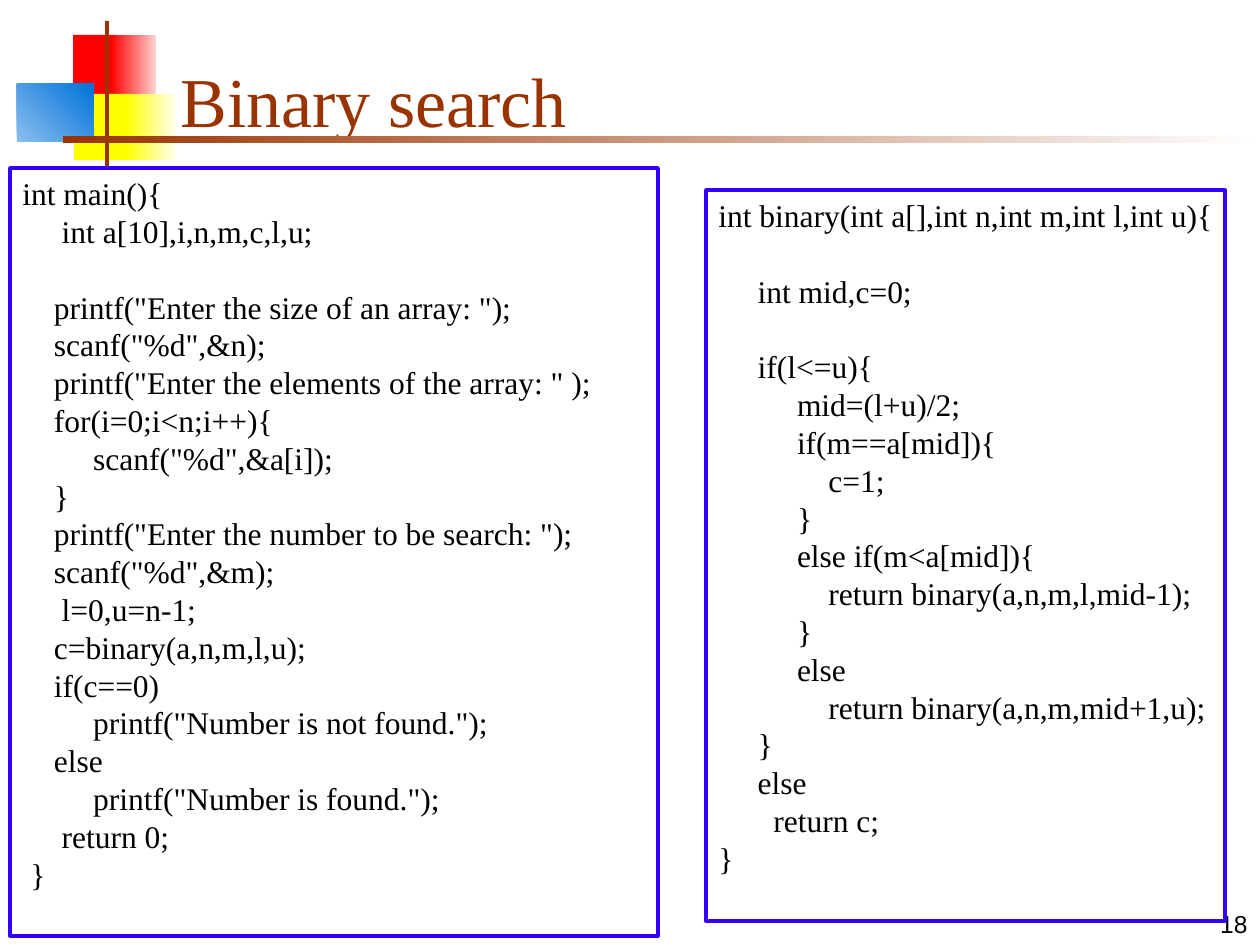
from pptx import Presentation
from pptx import util as u
from pptx.dml.color import RGBColor
from pptx.enum import shapes, text

PX = u.Inches(1) / 126
COLORS = {
    "red": "FF0000", "pale red": "FFD1D1",
    "yellow": "FFFF00", "pale yellow": "FFFFF0",
    "sky": "8BBFEE", "blue": "0073D9",
    "brown": "993300", "white": "FFFFFF",
    "border": "3300FF", "black": "000000",
}
SERIF, SANS = "Times New Roman", "Arial"

MAIN_CODE = """int main(){
     int a[10],i,n,m,c,l,u;

    printf("Enter the size of an array: ");
    scanf("%d",&n);
    printf("Enter the elements of the array: " );
    for(i=0;i<n;i++){
         scanf("%d",&a[i]);
    }
    printf("Enter the number to be search: ");
    scanf("%d",&m);
     l=0,u=n-1;
    c=binary(a,n,m,l,u);
    if(c==0)
         printf("Number is not found.");
    else
         printf("Number is found.");
     return 0;
 }"""

BINARY_CODE = """int binary(int a[],int n,int m,int l,int u){

     int mid,c=0;

     if(l<=u){
          mid=(l+u)/2;
          if(m==a[mid]){
              c=1;
          }
          else if(m<a[mid]){
              return binary(a,n,m,l,mid-1);
          }
          else
              return binary(a,n,m,mid+1,u);
     }
     else
       return c;
}"""


def px(*lengths):
    return [u.Emu(round(length * PX)) for length in lengths]


def rgb(name):
    return RGBColor.from_string(COLORS[name])


def add_block(slide, box, *colors, angle=0):
    """Rectangle without outline: one colour is solid, two make a gradient."""
    shape = slide.shapes.add_shape(shapes.MSO_SHAPE.RECTANGLE, *px(*box))
    shape.shadow.inherit = False
    shape.line.fill.background()
    if len(colors) == 1:
        shape.fill.solid()
        shape.fill.fore_color.rgb = rgb(colors[0])
    else:
        shape.fill.gradient()
        shape.fill.gradient_angle = angle
        for position, (stop, color) in enumerate(zip(shape.fill.gradient_stops, colors)):
            stop.position = position
            stop.color.rgb = rgb(color)
    return shape


def write(shape, lines, size, font, color, align=text.PP_ALIGN.LEFT,
          anchor=text.MSO_ANCHOR.TOP, wrap=True):
    frame = shape.text_frame
    frame.auto_size = text.MSO_AUTO_SIZE.NONE
    frame.word_wrap = wrap
    frame.vertical_anchor = anchor
    frame.text = lines
    for paragraph in frame.paragraphs:
        paragraph.alignment = align
        paragraph.font.size = u.Pt(size)
        paragraph.font.name = font
        paragraph.font.color.rgb = rgb(color)


def add_ornament(slide, left, top):
    """Overlapping squares crossed by a vertical bar and a fading rule."""
    blocks = [
        ((56, 14, 44, 66), ("red",), 0),
        ((94, 14, 45, 66), ("red", "pale red"), 0),
        ((57, 73, 58, 66), ("yellow",), 0),
        ((109, 73, 50, 66), ("yellow", "pale yellow"), 0),
        ((0, 63, 77, 58), ("sky", "blue"), 45),
        ((88, 0, 4, 145), ("brown",), 0),
        ((46, 115, 1197, 7), ("brown", "white"), 0),
    ]
    for (x, y, width, height), colors, angle in blocks:
        add_block(slide, (left + x, top + y, width, height), *colors, angle=angle)


def add_title(slide, box, words):
    title = slide.shapes.title
    title.left, title.top, title.width, title.height = px(*box)
    write(title, words, 40, SERIF, "brown", anchor=text.MSO_ANCHOR.BOTTOM)


def add_page_number(slide, box, number):
    shape = slide.shapes.add_textbox(*px(*box))
    write(shape, number, 14, SANS, "black", text.PP_ALIGN.RIGHT, text.MSO_ANCHOR.BOTTOM)


def add_code_panel(slide, box, code, wrap=True):
    panel = add_block(slide, box, "white")
    panel.line.color.rgb = rgb("border")
    panel.line.width = u.Pt(2)
    write(panel, code, 18, SERIF, "black", wrap=wrap)


def main():
    presentation = Presentation()
    presentation.slide_width, presentation.slide_height = px(1260, 945)
    slide = presentation.slides.add_slide(presentation.slide_layouts[5])
    add_ornament(slide, 17, 21)
    add_title(slide, (168, 32, 1074, 116), "Binary search")
    add_page_number(slide, (998, 882, 262, 63), "18")
    add_code_panel(slide, (10, 168, 648, 768), MAIN_CODE)
    add_code_panel(slide, (706, 190, 519, 731), BINARY_CODE, wrap=False)
    presentation.save("out.pptx")


if __name__ == "__main__":
    main()
